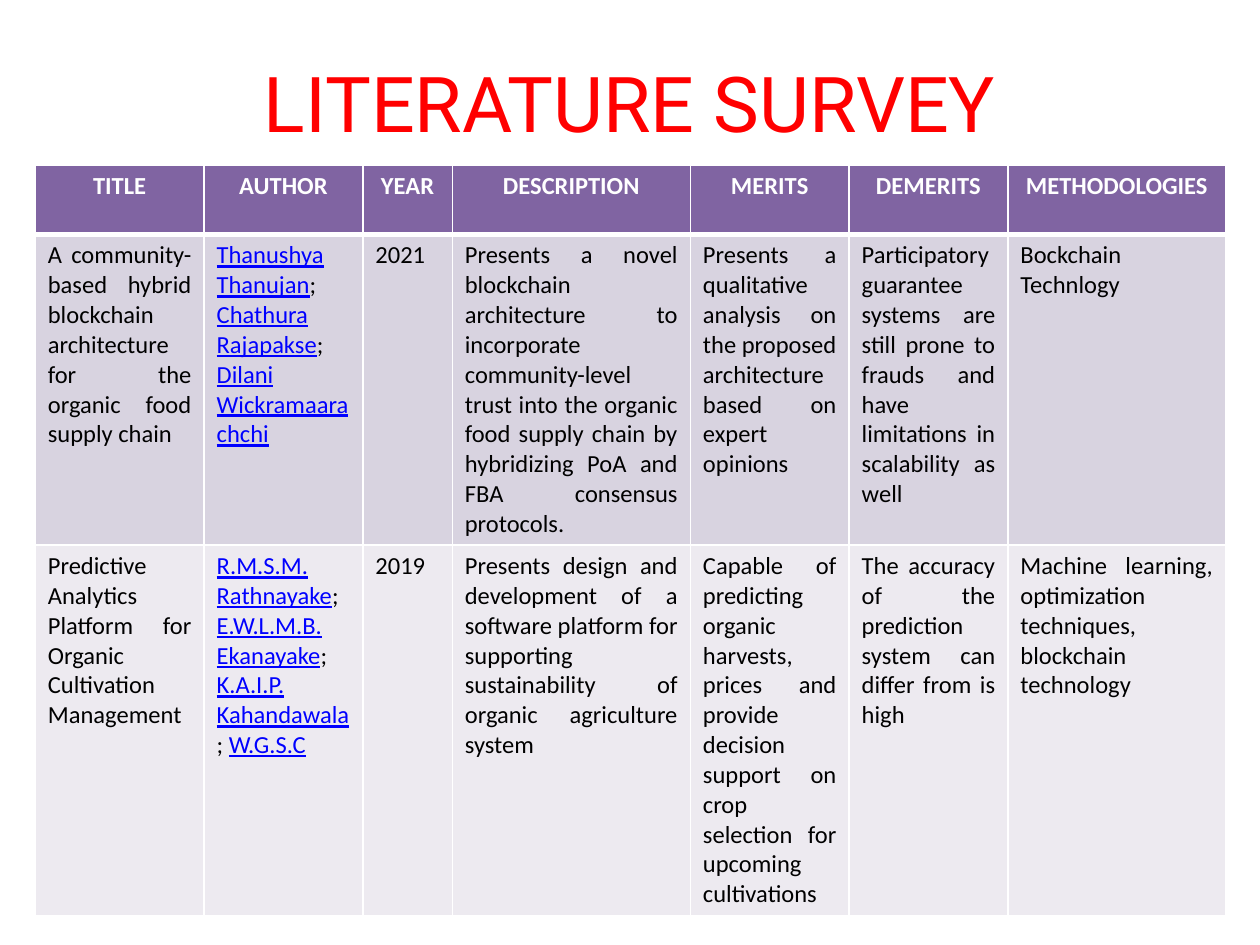
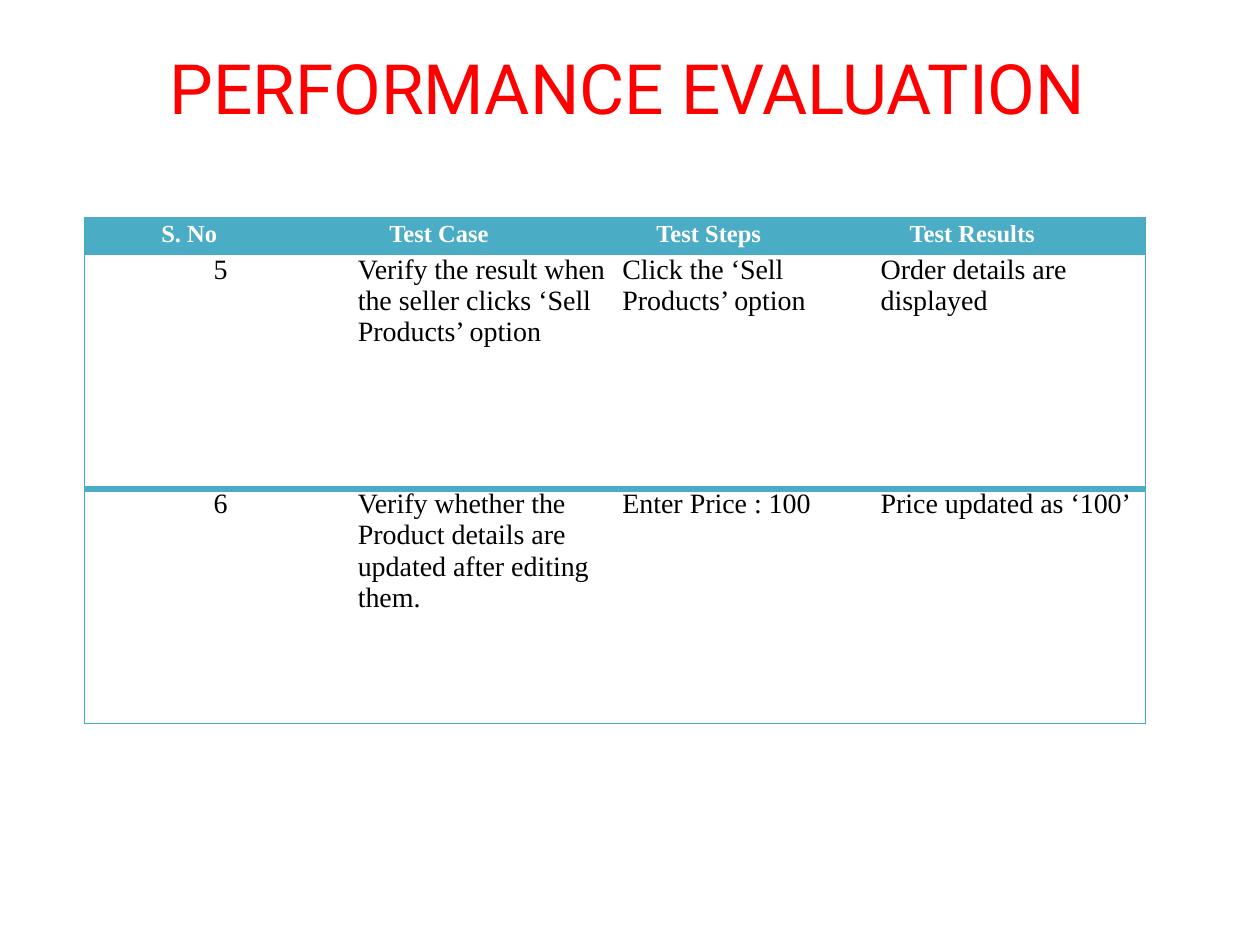
from dataclasses import dataclass
from typing import Optional

from lxml import etree
from pptx import Presentation
from pptx.dml.color import RGBColor
from pptx.enum.text import MSO_ANCHOR, MSO_AUTO_SIZE, PP_ALIGN
from pptx.oxml.ns import qn
from pptx.util import Emu, Pt

LEFT, CENTER, JUSTIFY = PP_ALIGN.LEFT, PP_ALIGN.CENTER, PP_ALIGN.JUSTIFY
MIDDLE, NO_AUTOFIT = MSO_ANCHOR.MIDDLE, MSO_AUTO_SIZE.NONE

EMU_PER_PX = 9144  # 100 px to the inch
TITLE_ONLY = 5
COLORS = {
    "title": "FF0000",
    "text": "000000",
    "link": "0000FF",
    "white": "FFFFFF",
    "purple": "8064A2",
    "purple_mid": "D8D3E0",
    "purple_pale": "EDEAF0",
    "teal": "4BACC6",
    "teal_edge": "46AAC5",
}


@dataclass(frozen=True)
class Line:
    color: str
    width: float


@dataclass(frozen=True)
class RowStyle:
    """Format of one table row; lefts and aligns hold one value a column."""
    font: str
    size: float
    fill: str
    aligns: tuple
    lefts: tuple
    color: str = "text"
    bold: bool = False
    right: int = 0
    vertical: int = 0
    side: Optional[Line] = None
    inner: Optional[Line] = None
    top: Optional[Line] = None
    bottom: Optional[Line] = None


@dataclass(frozen=True)
class Row:
    """A cell is a string, or a list of author names."""
    height: int
    cells: tuple
    style: RowStyle


@dataclass(frozen=True)
class Table:
    left: int
    top: int
    cols: tuple
    rows: tuple


def px(n: int) -> Emu:
    return Emu(n * EMU_PER_PX)


def rgb(name: str) -> RGBColor:
    return RGBColor.from_string(COLORS[name])


def add_text(p, text: str, *, font: str, size: float, color: str = "text",
             bold: bool = False, underline: bool = False,
             align: PP_ALIGN = LEFT) -> None:
    p.alignment = align
    r = p.add_run()
    r.text = text
    r.font.name = font
    r.font.size = Pt(size)
    r.font.bold = bold
    r.font.underline = underline
    r.font.color.rgb = rgb(color)


def add_authors(p, names: list, **fmt) -> None:
    """Write underlined names with plain separators."""
    for i, name in enumerate(names):
        if i:
            add_text(p, "; ", **fmt)
        add_text(p, name, **{**fmt, "color": "link", "underline": True})


def set_border(cell, tag: str, line: Optional[Line]) -> None:
    tc_pr = cell._tc.get_or_add_tcPr()
    ln = etree.SubElement(tc_pr, qn(f"a:{tag}"))
    if line is None:
        ln.set("w", "0")
        etree.SubElement(ln, qn("a:noFill"))
        return
    ln.set("w", str(Pt(line.width)))
    fill = etree.SubElement(ln, qn("a:solidFill"))
    etree.SubElement(fill, qn("a:srgbClr")).set("val", COLORS[line.color])


def fill_cell(cell, content, style: RowStyle, col: int, last: int) -> None:
    borders = {
        "lnL": style.side if col == 0 else style.inner,
        "lnR": style.side if col == last else style.inner,
        "lnT": style.top,
        "lnB": style.bottom,
    }
    for tag, line in borders.items():
        set_border(cell, tag, line)
    cell.fill.solid()
    cell.fill.fore_color.rgb = rgb(style.fill)
    cell.margin_left, cell.margin_right = px(style.lefts[col]), px(style.right)
    cell.margin_top = cell.margin_bottom = px(style.vertical)
    write = add_authors if isinstance(content, list) else add_text
    write(cell.text_frame.paragraphs[0], content, font=style.font,
          size=style.size, color=style.color, bold=style.bold,
          align=style.aligns[col])


def add_table(s, spec: Table) -> None:
    height = sum(row.height for row in spec.rows)
    tbl = s.shapes.add_table(len(spec.rows), len(spec.cols), px(spec.left),
                             px(spec.top), px(sum(spec.cols)), px(height)).table
    tbl.first_row = tbl.horz_banding = False
    for i, width in enumerate(spec.cols):
        tbl.columns[i].width = px(width)
    for i, row in enumerate(spec.rows):
        tbl.rows[i].height = px(row.height)
        for j, content in enumerate(row.cells):
            fill_cell(tbl.cell(i, j), content, row.style, j, len(spec.cols) - 1)


def add_slide(prs, title: str, box: tuple, size: float, tables: tuple) -> None:
    s = prs.slides.add_slide(prs.slide_layouts[TITLE_ONLY])
    sp = s.shapes.title
    sp.left, sp.top, sp.width, sp.height = map(px, box)
    tf = sp.text_frame
    tf.auto_size = NO_AUTOFIT
    tf.vertical_anchor = MIDDLE
    add_text(tf.paragraphs[0], title, font="Roboto", size=size, color="title",
             align=CENTER)
    for spec in tables:
        add_table(s, spec)


def survey_style(fill: str, align: PP_ALIGN, top: Line, bottom: Line,
                 **extra) -> RowStyle:
    return RowStyle("Calibri", 14, fill, (align,) * 7, (10,) * 7, right=10,
                    vertical=5, side=THIN_WHITE, inner=THIN_WHITE,
                    top=top, bottom=bottom, **extra)


def test_style(top: Line, bottom: Line) -> RowStyle:
    return RowStyle("Times New Roman", 16, "white", (CENTER, LEFT, LEFT, LEFT),
                    (7, 8, 7, 7), side=THIN_TEAL, top=top, bottom=bottom)


THIN_WHITE, THICK_WHITE = Line("white", 1), Line("white", 3)
THIN_TEAL, THICK_TEAL = Line("teal_edge", 0.75), Line("teal", 4)

SURVEY = Table(28, 131, (134, 126, 71, 189, 126, 126, 173), (
    Row(55, ("TITLE", "AUTHOR", "YEAR", "DESCRIPTION", "MERITS", "DEMERITS",
             "METHODOLOGIES"),
        survey_style("purple", CENTER, THIN_WHITE, THICK_WHITE,
                     color="white", bold=True)),
    Row(246, (
        "A community-based hybrid blockchain architecture for the organic "
        "food supply chain",
        ["Thanushya Thanujan", "Chathura Rajapakse", "Dilani Wickramaarachchi"],
        "2021",
        "Presents a novel blockchain architecture to incorporate "
        "community-level trust into the organic food supply chain by "
        "hybridizing PoA and FBA consensus protocols.",
        "Presents a qualitative analysis on the proposed architecture based "
        "on expert opinions",
        "Participatory guarantee systems are still prone to frauds and have "
        "limitations in scalability as well",
        "Bockchain Technlogy",
    ), survey_style("purple_mid", JUSTIFY, THICK_WHITE, THIN_WHITE)),
    Row(294, (
        "Predictive Analytics Platform for Organic Cultivation Management",
        ["R.M.S.M. Rathnayake", "E.W.L.M.B. Ekanayake", "K.A.I.P. Kahandawala",
         "W.G.S.C"],
        "2019",
        "Presents design and development of a software platform for "
        "supporting sustainability of organic agriculture system",
        "Capable of predicting organic harvests, prices and provide decision "
        "support on crop selection for upcoming cultivations",
        "The accuracy of the prediction system can differ from is high",
        "Machine learning, optimization techniques, blockchain technology",
    ), survey_style("purple_pale", JUSTIFY, THIN_WHITE, THIN_WHITE)),
))

TEST_CASES = Table(67, 202, (209, 211, 205, 217), (
    Row(186, ("5",
              "Verify the result when the seller clicks ‘Sell Products’ option",
              "Click the ‘Sell Products’ option",
              "Order details are displayed"),
        test_style(THIN_TEAL, THICK_TEAL)),
    Row(186, ("6",
              "Verify whether the Product details are updated after editing "
              "them.",
              "Enter Price : 100",
              "Price updated as ‘100’"),
        test_style(THICK_TEAL, THIN_TEAL)),
))

TEST_HEADER = Table(67, 175, (197, 215, 209, 221), (
    Row(27, ("S. No", "Test Case", "Test Steps", "Test Results"),
        RowStyle("Times New Roman", 14, "teal", (LEFT,) * 4, (61, 45, 42, 34),
                 color="white", bold=True, side=THIN_TEAL, top=THICK_TEAL,
                 bottom=THIN_TEAL)),
))


def main() -> None:
    prs = Presentation()
    prs.slide_width, prs.slide_height = px(1000), px(750)
    add_slide(prs, "LITERATURE SURVEY", (50, 30, 900, 101), 44, (SURVEY,))
    add_slide(prs, "PERFORMANCE EVALUATION", (114, 29, 768, 79), 39.6,
              (TEST_CASES, TEST_HEADER))
    prs.save("out.pptx")


if __name__ == "__main__":
    main()
